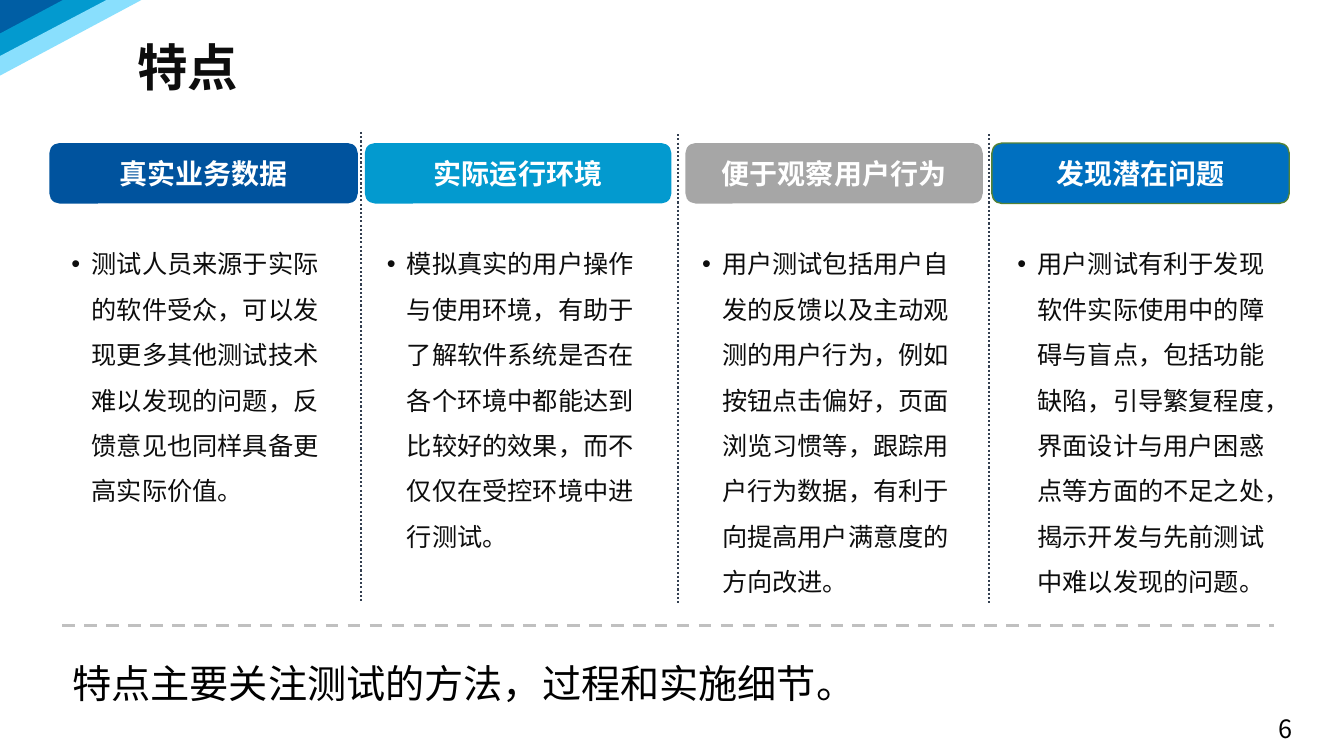
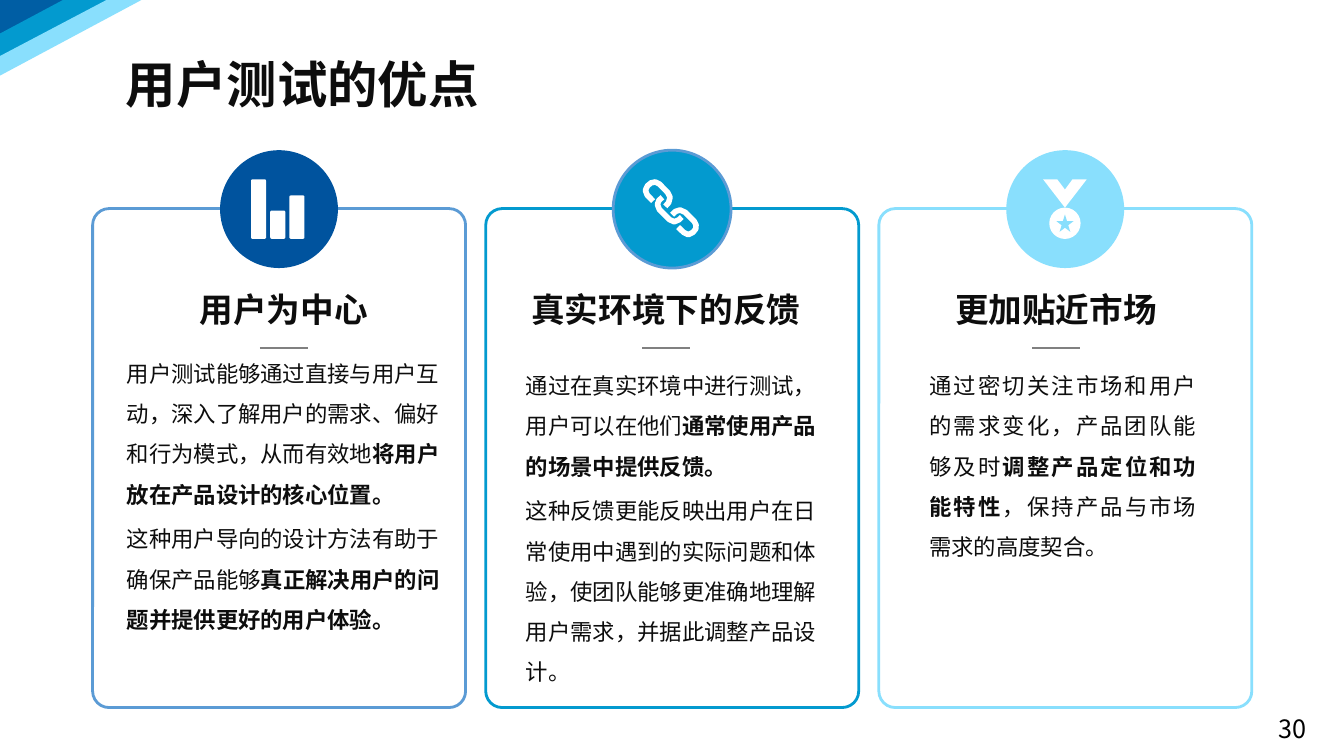
import dataclasses
import typing

import pptx
import pptx.dml.color
import pptx.enum.dml
import pptx.enum.shapes
import pptx.enum.text
import pptx.oxml
import pptx.oxml.ns
import pptx.util

Pt = pptx.util.Pt
SHAPE = pptx.enum.shapes.MSO_SHAPE
ALIGN = pptx.enum.text.PP_ALIGN
ANCHOR = pptx.enum.text.MSO_ANCHOR
DASH = pptx.enum.dml.MSO_LINE
CJK_FONT = "Noto Sans CJK SC"
COLORS = {
    "ink": "0D0D0D", "black": "000000", "white": "FFFFFF", "corner": "005EA4",
    "navy": "00539E", "cyan": "039ACF", "sky": "89DFFD", "grey": "A6A6A6",
    "blue": "0070C0", "green": "548235", "steel": "5B9BD5", "slate": "333F50",
    "silver": "C0C0C0", "rule": "808080",
}
Box = tuple[float, float, float, float]
Points = list[tuple[float, float]]
Paragraph = tuple[str, ...]


@dataclasses.dataclass
class Feature:
    """One column of the features slide."""
    heading: str
    detail: str
    left: float
    width: float
    fill: str
    outline: str | None = None


@dataclasses.dataclass
class Benefit:
    """One card of the benefits slide; odd pieces of a paragraph are bold."""
    heading: str
    paragraphs: list[Paragraph]
    heading_left: float
    body: Box
    edge: str
    badge: str
    draw_icon: typing.Callable
    badge_edge: str | None = None
    align: ALIGN = ALIGN.LEFT


FEATURES = [
    Feature("真实业务数据", "测试人员来源于实际的软件受众，可以发现更多其他测试技术难以发现的问题，反馈意见也同样具备更高实际价值。",
            35.3, 220.3, "navy"),
    Feature("实际运行环境", "模拟真实的用户操作与使用环境，有助于了解软件系统是否在各个环境中都能达到比较好的效果，而不仅仅在受控环境中进行测试。",
            260.6, 219, "cyan"),
    Feature("便于观察用户行为", "用户测试包括用户自发的反馈以及主动观测的用户行为，例如按钮点击偏好，页面浏览习惯等，跟踪用户行为数据，有利于向提高用户满意度的方向改进。",
            489.6, 212.4, "grey"),
    Feature("发现潜在问题", "用户测试有利于发现软件实际使用中的障碍与盲点，包括功能缺陷，引导繁复程度，界面设计与用户困惑点等方面的不足之处，揭示开发与先前测试中难以发现的问题。",
            708.5, 212.4, "blue", "green"),
]
DIVIDERS = [(257.8, 94.3), (484.6, 95.8), (706.3, 95.8)]
CORNER_BANDS = [
    ("corner", [(0, 26), (0, 0), (49, 0)]),
    ("cyan", [(0, 44), (0, 24), (45, 0), (81, 0)]),
    ("sky", [(0, 54), (0, 40), (76, 0), (101, 0)]),
]
CHAIN_LINKS = [
    [(466.5, 143.7), (462.3, 139.3), (461, 136), (462.5, 132.8), (465, 130.7), (468, 130),
     (471, 131.5), (477, 137.6), (478.6, 141), (477.6, 144.8), (475.2, 147.4)],
    [(473.2, 140.9), (470.8, 143), (469.6, 146), (471, 149.6), (478.2, 156.8), (481.6, 158.4),
     (485, 157), (487, 155)],
    [(484.4, 162.2), (488.4, 166), (491.6, 167.6), (495, 166), (497, 163.5), (497.2, 160.6),
     (496, 158.2), (489.4, 151.6), (485.8, 150), (482.6, 151), (480.2, 153.4)],
]


def rgb(name: str) -> pptx.dml.color.RGBColor:
    """Look up a colour."""
    return pptx.dml.color.RGBColor.from_string(COLORS[name])


def write(frame, paragraphs: list[Paragraph], *, size: float, color: str = "ink", bold: bool = False,
          font: str = CJK_FONT, align: ALIGN = ALIGN.LEFT, anchor: ANCHOR = ANCHOR.TOP, wrap: bool = True,
          spacing: float = 1, gap: float = 0, bullet: bool = False) -> None:
    """Fill a text frame with formatted paragraphs."""
    frame.word_wrap = wrap
    frame.auto_size = pptx.enum.text.MSO_AUTO_SIZE.NONE
    frame.vertical_anchor = anchor
    for index, pieces in enumerate(paragraphs):
        paragraph = frame.add_paragraph() if index else frame.paragraphs[0]
        paragraph.alignment = align
        paragraph.line_spacing = spacing
        paragraph.space_before = Pt(gap if index else 0)
        if bullet:
            properties = paragraph._p.get_or_add_pPr()
            properties.set("marL", str(Pt(14.4)))
            properties.set("indent", str(-Pt(14.4)))
            for tag, key, value in (("a:buFont", "typeface", "Arial"), ("a:buChar", "char", "•")):
                pptx.oxml.ns.qn(tag)
                mark = properties.makeelement(pptx.oxml.ns.qn(tag), {key: value})
                properties.append(mark)
        for order, piece in enumerate(pieces):
            run = paragraph.add_run()
            run.text = piece
            run.font.size = Pt(size)
            run.font.name = font
            run.font.bold = bold or order % 2 == 1
            run.font.color.rgb = rgb(color)
            east_asian = run.font._element.makeelement(pptx.oxml.ns.qn("a:ea"), {"typeface": CJK_FONT})
            run.font._element.find(pptx.oxml.ns.qn("a:latin")).addnext(east_asian)


def add_text(slide, box: Box, paragraphs: list[Paragraph], **style) -> None:
    """Add a text box."""
    write(slide.shapes.add_textbox(*map(Pt, box)).text_frame, paragraphs, **style)


def paint(shape, fill: str | None, outline: str | None = None, weight: float = 1):
    """Set fill and outline, and drop the shadow."""
    shape.shadow.inherit = False
    if fill:
        shape.fill.solid()
        shape.fill.fore_color.rgb = rgb(fill)
    else:
        shape.fill.background()
    if outline:
        shape.line.color.rgb = rgb(outline)
        shape.line.width = Pt(weight)
    else:
        shape.line.fill.background()
    return shape


def add_block(slide, kind: SHAPE, box: Box, fill: str | None, outline: str | None = None,
              weight: float = 1, corner: float | None = None):
    """Add a preset shape."""
    block = slide.shapes.add_shape(kind, *map(Pt, box))
    if corner is not None:
        block.adjustments[0] = corner
    return paint(block, fill, outline, weight)


def add_outline(slide, points: Points, fill: str | None, outline: str | None = None,
                weight: float = 1):
    """Add a freeform, closed when it is filled."""
    vertices = [(Pt(x), Pt(y)) for x, y in points]
    builder = slide.shapes.build_freeform(*vertices[0])
    builder.add_line_segments(vertices[1:], close=fill is not None)
    return paint(builder.convert_to_shape(), fill, outline, weight)


def add_rule(slide, start: tuple[float, float], end: tuple[float, float], color: str, weight: float,
             dash: DASH | None = None) -> None:
    """Add a straight line."""
    rule = slide.shapes.add_connector(pptx.enum.shapes.MSO_CONNECTOR.STRAIGHT, *map(Pt, (*start, *end)))
    rule.line.color.rgb = rgb(color)
    rule.line.width = Pt(weight)
    if dash is not None:
        rule.line.dash_style = dash
    properties = rule._element.spPr
    properties.append(properties.makeelement(pptx.oxml.ns.qn("a:effectLst"), {}))


def draw_bars(slide) -> None:
    """Draw the bar chart icon."""
    for index, height in enumerate((42.5, 20.2, 31)):
        add_block(slide, SHAPE.ROUNDED_RECTANGLE, (179.3 + 13.7 * index, 170.6 - height, 10.8, height),
                  "white", corner=0.1)


def draw_chain(slide) -> None:
    """Draw the chain icon."""
    for link in CHAIN_LINKS:
        add_outline(slide, link, None, "white", 4)


def draw_medal(slide) -> None:
    """Draw the medal icon."""
    ribbon = [(745.2, 128.2), (755.3, 128.2), (760.7, 135.4), (766, 128.2), (776.2, 128.2), (760.7, 148.3)]
    add_outline(slide, ribbon, "white")
    add_block(slide, SHAPE.OVAL, (749.5, 148.3, 22.4, 22.4), "white")
    add_block(slide, SHAPE.STAR_5_POINT, (754.5, 153.2, 12.4, 12.4), "sky")


BENEFITS = [
    Benefit("用户为中心", [
        ("用户测试能够通过直接与用户互动，深入了解用户的需求、偏好和行为模式，从而有效地", "将用户放在产品设计的核心位置。"),
        ("这种用户导向的设计方法有助于确保产品能够", "真正解决用户的问题并提供更好的用户体验。"),
    ], 94.3, (83.5, 244, 244, 209.5), "steel", "navy", draw_bars),
    Benefit("真实环境下的反馈", [
        ("通过在真实环境中进行测试，用户可以在他们", "通常使用产品的场景中提供反馈。"),
        ("这种反馈更能反映出用户在日常使用中遇到的实际问题和体验，使团队能够更准确地理解用户需求，并据此调整产品设计。",),
    ], 367.2, (368.6, 252.7, 227.5, 245.5), "cyan", "cyan", draw_chain, badge_edge="steel"),
    Benefit("更加贴近市场", [
        ("通过密切关注市场和用户的需求变化，产品团队能够及时", "调整产品定位和功能特性", "，保持产品与市场需求的高度契合。"),
    ], 645.8, (656.6, 252.7, 205.2, 246), "sky", "sky", draw_medal, align=ALIGN.JUSTIFY),
]


def add_corner(slide, layout) -> None:
    """Put the corner bands on the shared layout."""
    for fill, points in CORNER_BANDS:
        layout.shapes._spTree.append(add_outline(slide, points, fill)._element)


def start_slide(deck, title: str, box: Box, number: str):
    """Add a slide with its title and page number."""
    slide = deck.slides.add_slide(deck.slide_layouts[5])
    heading = slide.shapes.title
    heading.left, heading.top, heading.width, heading.height = map(Pt, box)
    write(heading.text_frame, [(title,)], size=36, bold=True, wrap=False)
    add_text(slide, (906.5, 506.2, 39.6, 26.6), [(number,)], size=18, color="black")
    return slide


def build_features(deck):
    """Build the features slide."""
    slide = start_slide(deck, "特点", (90.7, 22.3, 87.1, 51.1), "6")
    for index, feature in enumerate(FEATURES):
        tab = add_block(slide, SHAPE.ROUNDED_RECTANGLE, (feature.left, 102.2, feature.width, 43.2),
                        feature.fill, feature.outline)
        write(tab.text_frame, [(feature.heading,)], size=20, color="white", bold=True,
              align=ALIGN.CENTER, anchor=ANCHOR.MIDDLE)
        add_text(slide, (44 + 225.2 * index, 163.4, 203.8, 269), [(feature.detail,)], size=18,
                 spacing=1.5, bullet=True)
    for x, top in DIVIDERS:
        add_rule(slide, (x, top), (x, top + 335.5), "slate", 1.5, DASH.ROUND_DOT)
    add_rule(slide, (44.6, 447.1), (910, 447.1), "silver", 2.25, DASH.DASH)
    add_text(slide, (44.6, 450.7, 891.4, 58.3), [("特点主要关注测试的方法，过程和实施细节。",)], size=28,
             color="black", align=ALIGN.JUSTIFY, spacing=1.5)
    return slide


def build_benefits(deck) -> None:
    """Build the benefits slide."""
    slide = start_slide(deck, "用户测试的优点", (82.8, 34.6, 269.3, 51.1), "30")
    for index, benefit in enumerate(BENEFITS):
        left = 66.2 + 280.8 * index
        add_block(slide, SHAPE.ROUNDED_RECTANGLE, (left, 149, 266.4, 356.4), None, benefit.edge, 2, 0.044)
        add_block(slide, SHAPE.OVAL, (left + 91, 107.3, 84.2, 84.2), benefit.badge, benefit.badge_edge, 2)
        benefit.draw_icon(slide)
        add_text(slide, (benefit.heading_left, 203, 216.8, 36), [(benefit.heading,)], size=24, bold=True,
                 font="Arial", align=ALIGN.CENTER)
        add_text(slide, benefit.body, benefit.paragraphs, size=16, spacing=1.5, gap=3.2, align=benefit.align)
        middle = benefit.heading_left + 108.4
        add_rule(slide, (middle - 17, 248.4), (middle + 17, 248.4), "rule", 1.75)


def main() -> None:
    """Build and save the deck."""
    deck = pptx.Presentation()
    deck.slide_width, deck.slide_height = Pt(960), Pt(540)
    add_corner(build_features(deck), deck.slide_layouts[5])
    build_benefits(deck)
    deck.save("out.pptx")


if __name__ == "__main__":
    main()
